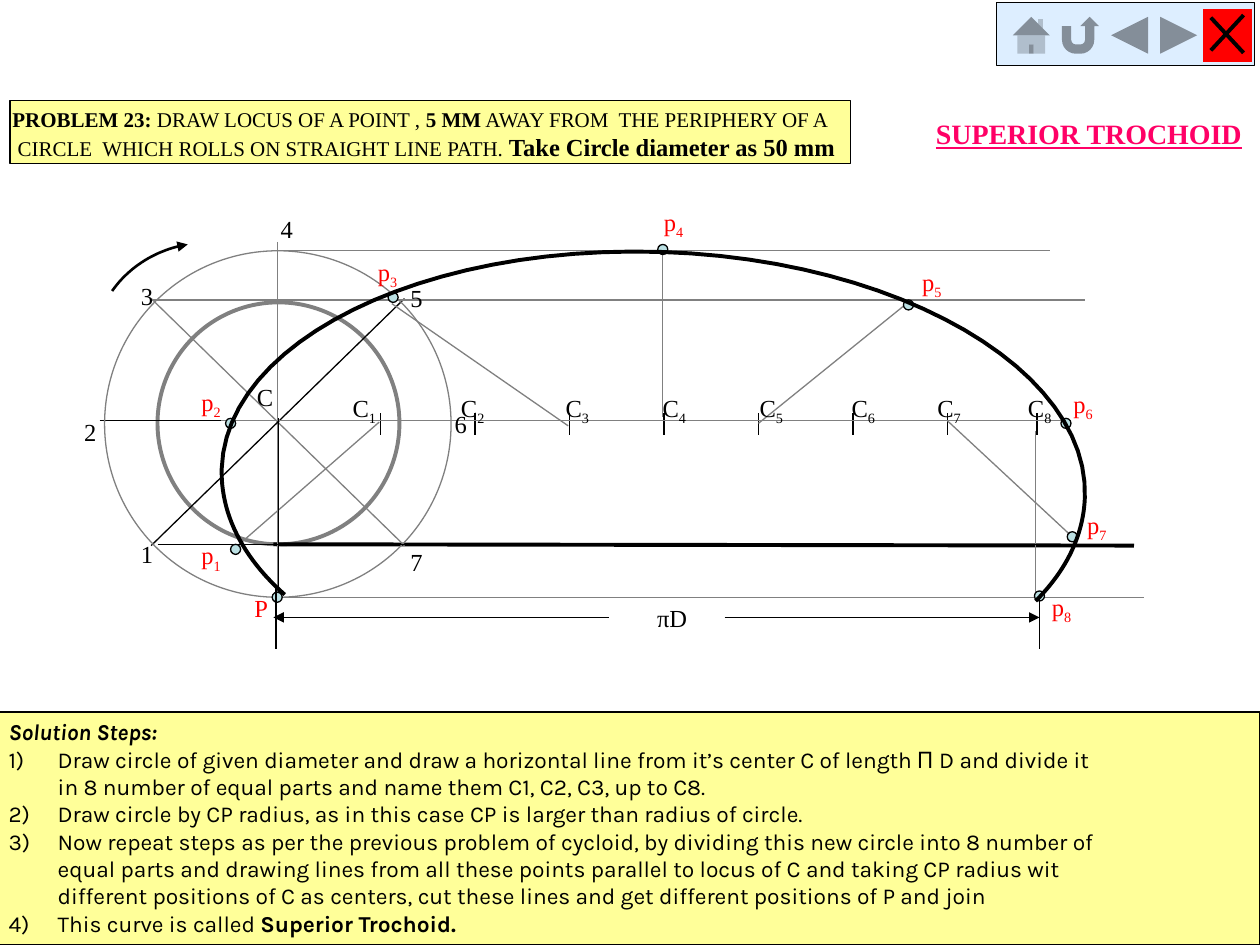
from dataclasses import dataclass
from typing import Any

from pptx import Presentation
from pptx.dml.color import RGBColor
from pptx.enum import shapes as kinds, text
from pptx.oxml import ns, xmlchemy
from pptx.util import Inches, Pt

BLACK = RGBColor(0x00, 0x00, 0x00)
WHITE = RGBColor(0xFF, 0xFF, 0xFF)
GRAY = RGBColor(0x80, 0x80, 0x80)
RED = RGBColor(0xFF, 0x00, 0x00)
PINK = RGBColor(0xFF, 0x00, 0x66)
YELLOW = RGBColor(0xFF, 0xFF, 0x99)
DOT_BLUE = RGBColor(0xBB, 0xE0, 0xE3)
BUTTON_BLUE = RGBColor(0xDD, 0xEE, 0xFF)
SERIF, SANS = "Times New Roman", "Karla"
PRESET = kinds.MSO_SHAPE


@dataclass
class Region:
    """Draws parts at inch offsets from its top left corner."""
    shapes: Any
    left: float
    top: float

    def point(self, x, y):
        """Return the slide position of an offset."""
        return Inches(self.left + x), Inches(self.top + y)

    def line(self, x1, y1, x2, y2, color=GRAY, width=0.75, arrow=False):
        """Add a straight line, with an arrowhead at its end if asked."""
        line = self.shapes.add_connector(
            kinds.MSO_CONNECTOR.STRAIGHT, *self.point(x1, y1), *self.point(x2, y2))
        style_line(line, color, width, arrow)
        line.element.spPr.append(xmlchemy.OxmlElement("a:effectLst"))

    def shape(self, preset, x, y, width, height, fill=None, color=None, weight=0.75):
        """Add a preset shape with an optional fill and outline."""
        shape = self.shapes.add_shape(
            preset, *self.point(x, y), Inches(width), Inches(height))
        shape.shadow.inherit = False
        if fill is None:
            shape.fill.background()
        else:
            shape.fill.solid()
            shape.fill.fore_color.rgb = fill
        if color is None:
            shape.line.fill.background()
        else:
            style_line(shape, color, weight)
        return shape

    def textbox(self, x, y, width, height=0.33, wrap=False):
        """Add a text box and return its text frame."""
        box = self.shapes.add_textbox(
            *self.point(x, y), Inches(width), Inches(height))
        box.text_frame.word_wrap = wrap
        return box.text_frame

    def label(self, x, y, letter, subscript="", color=BLACK, width=0.36):
        """Add a short label with an optional subscript."""
        paragraph = self.textbox(x, y, width).paragraphs[0]
        add_indexed(paragraph, letter, subscript, color)

    def curve(self, start, segments, width, arrow=False, steps=24):
        """Add an open outline through a chain of cubic Bézier segments."""
        points = []
        anchor = start
        for segment in segments:
            controls = (anchor, *segment)
            points += [self.point(*bezier(controls, step / steps))
                       for step in range(1, steps + 1)]
            anchor = segment[-1]
        builder = self.shapes.build_freeform(*self.point(*start))
        builder.add_line_segments(points, close=False)
        outline = builder.convert_to_shape()
        outline.shadow.inherit = False
        outline.fill.background()
        style_line(outline, BLACK, width, arrow)


def bezier(controls, t):
    """Return the point at t on a cubic Bézier curve."""
    weights = ((1 - t) ** 3, 3 * t * (1 - t) ** 2, 3 * t * t * (1 - t), t ** 3)
    return [sum(w * c[axis] for w, c in zip(weights, controls)) for axis in (0, 1)]


def style_line(shape, color, width, arrow=False):
    """Set the colour, width and arrowhead of a line."""
    shape.line.color.rgb = color
    shape.line.width = Pt(width)
    if arrow:
        tail = xmlchemy.OxmlElement("a:tailEnd")
        tail.set("type", "triangle")
        shape.get_or_add_ln().append(tail)


def add_run(paragraph, words, size=14, color=BLACK, font=SERIF, bold=False):
    """Append a formatted run and return it."""
    run = paragraph.add_run()
    run.text = words
    run.font.size, run.font.name, run.font.bold = Pt(size), font, bold
    run.font.color.rgb = color
    return run


def add_indexed(paragraph, letter, subscript, color=BLACK):
    """Append a letter followed by its subscript."""
    add_run(paragraph, letter, color=color)
    if subscript:
        run = add_run(paragraph, subscript, color=color)
        run.font._element.set("baseline", "-25000")


def draw_construction(region):
    """Draw the rolling circle, its spokes and the projection lines."""
    region.shape(PRESET.OVAL, 1.05, 1.06, 1.92, 1.92, WHITE, GRAY, 2.25)
    region.line(1.97, 2.98, 8.8, 2.99, BLACK, 2.25)
    region.line(2, 0.58, 2, 3.44)
    region.line(0.59, 2, 3.32, 2, BLACK)
    region.line(1, 1.03, 3.01, 2.99)
    region.line(3.01, 1.03, 1, 2.99, BLACK)
    for x in [2.82 + 0.75 * i for i in range(7)] + [8.03]:
        region.line(x, 1.94, x, 2.11, BLACK)
    for ends in ((1.55, 2, 8.3, 2), (1.97, 3.4, 8.88, 3.4),
                 (0.99, 1.04, 8.41, 1.04), (1.97, 0.65, 8.13, 0.65),
                 (2.81, 2.01, 1.63, 3.04), (4.31, 2.04, 2.91, 1.07),
                 (5.82, 2.02, 7.02, 1.05), (7.32, 2, 8.31, 2.92),
                 (5.06, 0.65, 5.06, 1.97), (8.02, 2.08, 8.02, 3.4)):
        region.line(*ends)
    region.shape(PRESET.OVAL, 0.63, 0.65, 2.75, 2.75, color=GRAY)
    region.line(1.05, 2.98, 8.72, 2.98, BLACK)
    region.line(2.01, 1.98, 2.01, 3.4, BLACK)
    region.curve((0.69, 0.97), [((0.83, 0.77), (1.05, 0.64), (1.29, 0.6))], 1.5, True)


def draw_labels(region):
    """Name the centres, the circle divisions and the locus points."""
    paragraph = region.textbox(2.5, 1.73, 5.79, wrap=True).paragraphs[0]
    tabs = xmlchemy.OxmlElement("a:tabLst")
    for stop in (0.86, 1.69, 2.46, 3.23, 3.96, 4.64, 5.36):
        tab = xmlchemy.OxmlElement("a:tab")
        tab.set("pos", str(Inches(stop)))
        tab.set("algn", "l")
        tabs.append(tab)
    paragraph._p.get_or_add_pPr().append(tabs)
    for number in range(1, 9):
        add_indexed(paragraph, "C" if number == 1 else "\tC", str(number))
    divisions = ((0.82, 2.89), (0.37, 1.92), (0.82, 0.84), (1.93, 0.31),
                 (2.96, 0.86), (3.31, 1.86), (2.96, 2.95))
    for number, place in enumerate(divisions, 1):
        region.label(*place, str(number), width=0.3)
    region.label(1.74, 1.64, "C", width=0.33)
    locus = ((1.3, 2.9), (1.3, 1.68), (2.7, 0.65), (4.97, 0.25),
             (7.02, 0.73), (8.22, 1.7), (8.33, 2.66), (8.05, 3.31))
    for number, place in enumerate(locus, 1):
        region.label(*place, "p", str(number), RED)
    region.label(1.72, 3.32, "P", color=RED, width=0.31)


def draw_trochoid(region):
    """Draw the locus points and the curve through them."""
    for x, y in ((1.96, 3.36), (1.63, 2.98), (1.59, 1.98), (2.88, 0.98), (5.02, 0.6),
                 (6.97, 1.04), (8.22, 1.98), (8.27, 2.88), (8.01, 3.35)):
        region.shape(PRESET.OVAL, x, y, 0.08, 0.08, DOT_BLUE, BLACK)
    region.curve((8.02, 3.43), [
        ((8.27, 3.18), (8.4, 2.9), (8.41, 2.61)),
        ((8.45, 1.6), (6.94, 0.72), (5.05, 0.66)),
        ((3.15, 0.6), (1.59, 1.37), (1.56, 2.38)),
        ((1.55, 2.73), (1.72, 3.08), (2.06, 3.38))], 2.25)


def draw_dimension(region):
    """Draw the πD dimension under the path."""
    region.line(0.02, 0, 0.02, 0.5, BLACK)
    region.line(6.08, 0.09, 6.08, 0.5, BLACK)
    region.line(2.66, 0.25, 0, 0.25, BLACK, arrow=True)
    region.line(3.58, 0.25, 6.08, 0.25, BLACK, arrow=True)
    paragraph = region.textbox(2.75, 0.09, 0.83, wrap=True).paragraphs[0]
    paragraph.alignment = text.PP_ALIGN.CENTER
    add_run(paragraph, "πD")


def draw_heading(region):
    """Place the problem statement and the name of the curve."""
    region.shape(PRESET.RECTANGLE, 0.08, 0, 6.67, 0.5, YELLOW, BLACK)
    frame = region.textbox(0, 0, 6.8, 0.53)
    first, second = frame.paragraphs[0], frame.add_paragraph()
    add_run(first, "PROBLEM 23:", 12, bold=True)
    add_run(first, " DRAW LOCUS OF A POINT , ", 12)
    add_run(first, "5 MM", 12, bold=True)
    add_run(first, " AWAY FROM  THE PERIPHERY OF A", 12)
    add_run(second, " CIRCLE  WHICH ROLLS ON STRAIGHT LINE PATH. ", 12)
    add_run(second, "Take Circle diameter as 50 mm", bold=True)
    title = region.textbox(7.33, 0.08, 2.64, 0.37).paragraphs[0]
    add_run(title, "SUPERIOR TROCHOID", 16, PINK, bold=True).font.underline = True


def draw_steps(region):
    """Write the numbered solution steps on a yellow panel."""
    panel = region.shape(PRESET.RECTANGLE, 0, 0, 10.03, 1.85, YELLOW, BLACK, 1)
    frame = panel.text_frame
    frame.word_wrap = True
    frame.vertical_anchor = text.MSO_ANCHOR.TOP
    heading = frame.paragraphs[0]
    heading.alignment = text.PP_ALIGN.LEFT
    add_run(heading, "Solution Steps:", 13, font=SANS, bold=True).font.italic = True
    steps = (
        ("Draw circle of given diameter and draw a horizontal line from it’s center C of length Π D and divide it",
         "in 8 number of equal parts and name them C1, C2, C3, up to C8."),
        ("Draw circle by CP radius, as in this case CP is larger than radius of circle.",),
        ("Now repeat steps as per the previous problem of cycloid, by dividing this new circle into 8 number of",
         "equal parts and drawing lines from all these points parallel to locus of C and taking CP radius wit",
         "different positions of C as centers, cut these lines and get different positions of P and join"),
        ("This curve is called ",))
    for lines in steps:
        paragraph = frame.add_paragraph()
        paragraph.alignment = text.PP_ALIGN.LEFT
        properties = paragraph._p.get_or_add_pPr()
        properties.set("marL", str(Inches(0.39)))
        properties.set("indent", str(-Inches(0.39)))
        number = xmlchemy.OxmlElement("a:buAutoNum")
        number.set("type", "arabicParenR")
        properties.append(number)
        for index, words in enumerate(lines):
            if index:
                paragraph.add_line_break()
            add_run(paragraph, words, 13, font=SANS)
    add_run(paragraph, "Superior Trochoid.", 13, font=SANS, bold=True)


def draw_navigation(region):
    """Draw the row of action buttons with a closing cross."""
    region.shape(PRESET.ACTION_BUTTON_CUSTOM, 0, 0, 2.05, 0.5, BUTTON_BLUE, BLACK, 0.5)
    buttons = (PRESET.ACTION_BUTTON_HOME, PRESET.ACTION_BUTTON_RETURN,
               PRESET.ACTION_BUTTON_BACK_OR_PREVIOUS,
               PRESET.ACTION_BUTTON_FORWARD_OR_NEXT, PRESET.ACTION_BUTTON_CUSTOM)
    for index, preset in enumerate(buttons):
        fill = RED if preset == PRESET.ACTION_BUTTON_CUSTOM else BUTTON_BLUE
        region.shape(preset, 0.08 + 0.39 * index, 0.05, 0.39, 0.42, fill)
    region.line(1.7, 0.12, 1.96, 0.4, BLACK, 2.25)
    region.line(1.96, 0.1, 1.7, 0.38, BLACK, 2.25)


def main():
    """Build the slide and save it."""
    presentation = Presentation()
    presentation.slide_width, presentation.slide_height = Inches(10), Inches(7.5)
    shapes = presentation.slides.add_slide(presentation.slide_layouts[6]).shapes
    diagram = Region(shapes, 0.2, 1.34)
    draw_construction(diagram)
    draw_labels(diagram)
    draw_trochoid(diagram)
    draw_dimension(Region(shapes, 2.17, 4.65))
    draw_heading(Region(shapes, 0, 0.8))
    draw_steps(Region(shapes, -0.03, 5.65))
    draw_navigation(Region(shapes, 7.91, 0.02))
    presentation.save("out.pptx")


if __name__ == "__main__":
    main()
